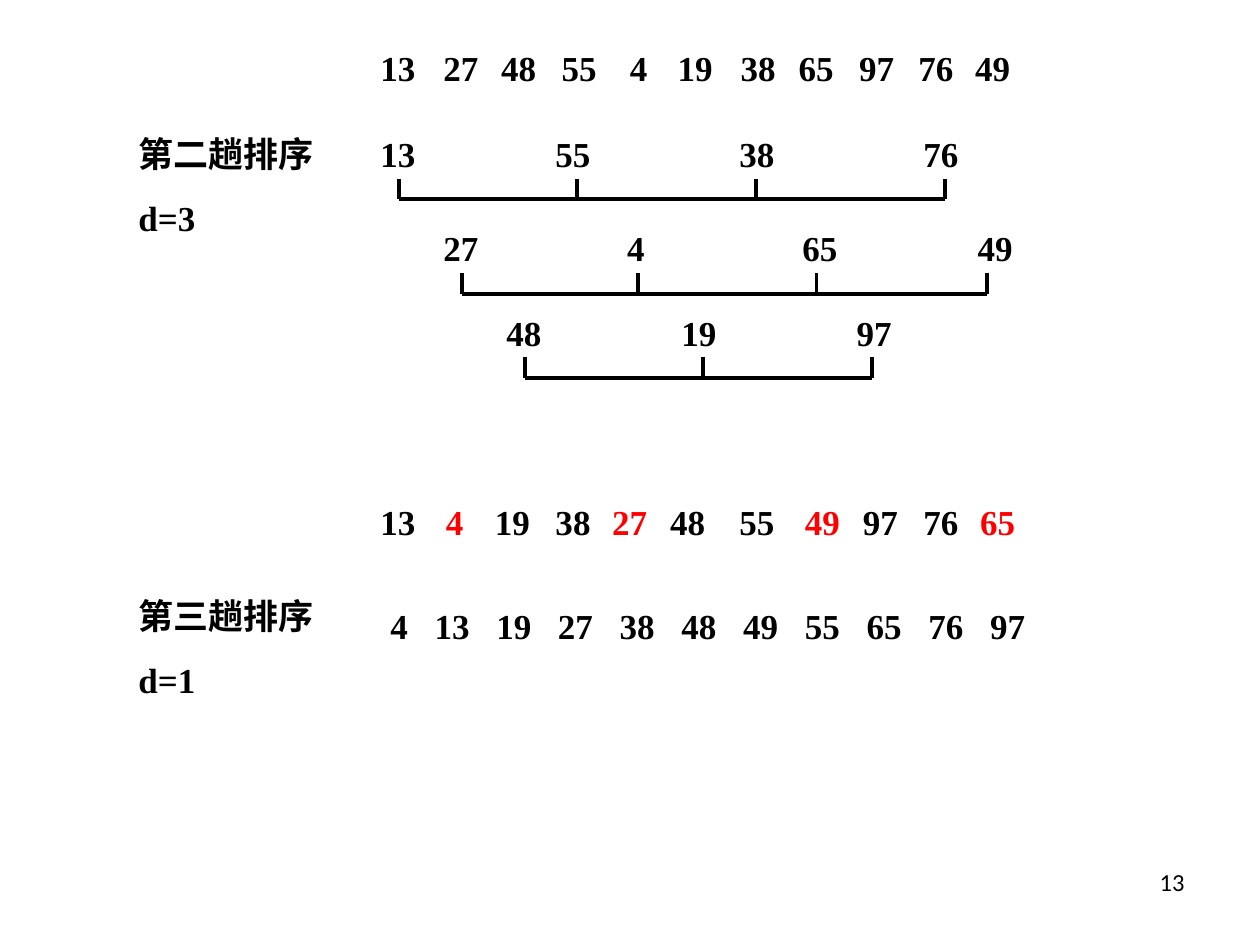
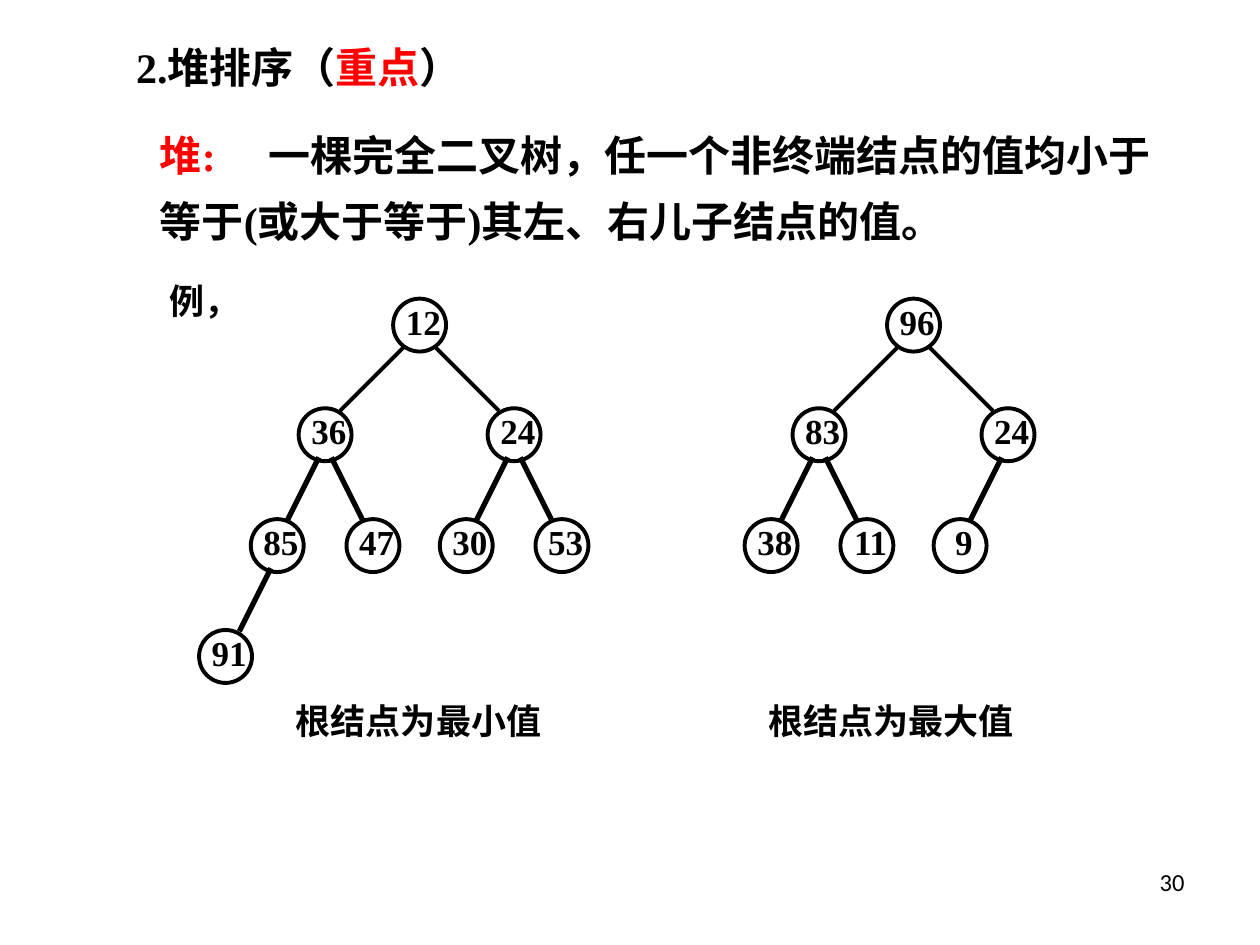
"""Build two lecture slides on Shell sort passes and heaps."""
from lxml import etree
from pptx import Presentation
from pptx.dml.color import RGBColor
from pptx.enum.shapes import MSO_CONNECTOR, MSO_SHAPE
from pptx.enum.text import MSO_ANCHOR, MSO_AUTO_SIZE, PP_ALIGN
from pptx.oxml.ns import qn
from pptx.util import Inches, Pt

STRAIGHT = MSO_CONNECTOR.STRAIGHT
ELLIPSE = MSO_SHAPE.OVAL
TOP, MIDDLE = MSO_ANCHOR.TOP, MSO_ANCHOR.MIDDLE
FIT_SHAPE, FIT_NONE = MSO_AUTO_SIZE.SHAPE_TO_FIT_TEXT, MSO_AUTO_SIZE.NONE
LEFT, CENTER, RIGHT = PP_ALIGN.LEFT, PP_ALIGN.CENTER, PP_ALIGN.RIGHT

BLACK, RED = "000000", "FF0000"
BODY_FONT, NUMBER_FONT = "Times New Roman", "Calibri"
TITLE_ONLY, BLANK = 5, 6
ROW_HEIGHT = 0.44

NODE_SIZE = 0.42
NODE_OFFSETS = (0, -0.75, 0.75, -1.13, -0.37, 0.37, 1.13, -1.54)
LEVEL_TOPS = (2.37, 3.24, 4.12, 5)


def rgb(color):
    return RGBColor.from_string(color)


class Deck:
    def __init__(self):
        self.presentation = Presentation()
        self.presentation.slide_width = Inches(10)
        self.presentation.slide_height = Inches(7.5)
        self.slide = None

    def new_slide(self, layout, number):
        layouts = self.presentation.slide_layouts
        self.slide = self.presentation.slides.add_slide(layouts[layout])
        self.text(7.17, 6.83, 2.33, 0.52, [number], size=14, bold=False,
                  font=NUMBER_FONT, align=RIGHT, before=0)

    def style(self, paragraph, size, color=BLACK, bold=True, font=BODY_FONT,
              align=LEFT, before=None, spacing=None, stops=()):
        paragraph.alignment = align
        paragraph.space_before = Pt(size * 0.625 if before is None else before)
        if spacing:
            paragraph.line_spacing = spacing
        if stops:
            properties = paragraph._p.get_or_add_pPr()
            tabs = etree.SubElement(properties, qn("a:tabLst"))
            for stop in stops:
                etree.SubElement(tabs, qn("a:tab"), pos=str(Inches(stop)), algn="l")
        paragraph.font.name = font
        paragraph.font.size = Pt(size)
        paragraph.font.bold = bold
        if color:
            paragraph.font.color.rgb = rgb(color)

    def fill_frame(self, frame, lines, size=20, **style):
        for index, line in enumerate(lines):
            paragraph = frame.add_paragraph() if index else frame.paragraphs[0]
            if isinstance(line, str):
                self.style(paragraph, size, **style)
                paragraph.add_run().text = line
                continue
            self.style(paragraph, size, color=None, **style)
            for words, color in line:
                run = paragraph.add_run()
                run.text = words
                run.font.color.rgb = rgb(color)

    def text(self, left, top, width, height, lines, **style):
        box = self.slide.shapes.add_textbox(
            Inches(left), Inches(top), Inches(width), Inches(height))
        box.text_frame.word_wrap = True
        box.text_frame.auto_size = FIT_SHAPE
        self.fill_frame(box.text_frame, lines, **style)

    def title(self, left, top, width, height, runs):
        title = self.slide.shapes.title
        title.left, title.top = Inches(left), Inches(top)
        title.width, title.height = Inches(width), Inches(height)
        title.text_frame.vertical_anchor = TOP
        title.text_frame.auto_size = FIT_NONE
        self.fill_frame(title.text_frame, [runs], size=24)

    def row(self, left, top, width, values, stops, color=BLACK):
        self.text(left, top, width, ROW_HEIGHT, ["\t".join(values.split())],
                  stops=stops, color=color)

    def line(self, x1, y1, x2, y2, weight=2.25):
        line = self.slide.shapes.add_connector(
            STRAIGHT, Inches(x1), Inches(y1), Inches(x2), Inches(y2))
        line.line.color.rgb = rgb(BLACK)
        line.line.width = Pt(weight)
        etree.SubElement(line._element.spPr, qn("a:effectLst"))

    def bracket(self, top, bottom, ticks):
        self.line(ticks[0], bottom, ticks[-1], bottom)
        for tick in ticks:
            self.line(tick, top, tick, bottom)

    def node(self, left, top, value):
        node = self.slide.shapes.add_shape(
            ELLIPSE, Inches(left), Inches(top), Inches(NODE_SIZE), Inches(NODE_SIZE))
        node.shadow.inherit = False
        node.fill.background()
        node.line.color.rgb = rgb(BLACK)
        node.line.width = Pt(2.25)
        frame = node.text_frame
        frame.word_wrap = False
        frame.vertical_anchor = MIDDLE
        frame.margin_left, frame.margin_bottom = Inches(0.06), Inches(0.06)
        frame.margin_right = frame.margin_top = 0
        self.fill_frame(frame, [value], align=CENTER, before=0)

    def heap(self, root_left, values):
        places = []
        for index, value in enumerate(values.split()):
            level = (index + 1).bit_length() - 1
            left, top = root_left + NODE_OFFSETS[index], LEVEL_TOPS[level]
            places.append((left, top))
            self.node(left, top, value)
            if index:
                parent_left, parent_top = places[(index - 1) // 2]
                side = -1 if index % 2 else 1
                start, reach, weight = (0.13, 0.5, 2.25) if level == 1 else (0.05, 0.25, 3)
                x = parent_left + NODE_SIZE / 2 + side * start
                y = parent_top + 0.39
                self.line(x, y, x + side * reach, y + 0.5, weight)


def build_shell_sort(deck):
    deck.new_slide(BLANK, "13")
    deck.text(1, 1, 2.17, 0.94, ["第二趟排序", "d=3"])
    for left, width, values, stops in (
            (2.92, 6.5, "13 19 49", (2.36, 4.72)),
            (3.42, 4.17, "27 38", (2.36,)),
            (3.88, 4, "48 65", (2.36,)),
            (4.36, 3.83, "55 97", (2.36,)),
            (4.9, 3.83, "4 76", (2.29,))):
        deck.row(left, 0.32, width, values, stops)

    for left, top, width, values, stops, bracket in (
            (2.92, 1, 6, "13 55 38 76", (1.39, 2.85, 4.31),
             (1.42, 1.58, (3.17, 4.58, 6, 7.5))),
            (3.42, 1.75, 5.17, "27 4 65 49", (1.46, 2.85, 4.24),
             (2.17, 2.33, (3.67, 5.06, 6.48, 7.83))),
            (3.92, 2.42, 3.83, "48 19 97", (1.39, 2.78),
             (2.83, 3, (4.17, 5.58, 6.92)))):
        deck.row(left, top, width, values, stops)
        deck.bracket(*bracket)

    deck.row(2.92, 3.92, 5.58, "13 38 55 76", (1.39, 2.85, 4.31))
    deck.row(3.44, 3.92, 5.42, "4 27 49 65", (1.32, 2.85, 4.24), RED)
    deck.row(3.83, 3.92, 4.42, "19 48 97", (1.39, 2.92))

    deck.text(1, 4.67, 3.33, 0.94, ["第三趟排序", "d=1"])
    deck.row(3, 4.75, 5.92, "4 13 19 27 38 48 49 55 65 76 97",
             [0.35 + 0.49 * step for step in range(10)])


def build_heaps(deck):
    deck.new_slide(TITLE_ONLY, "30")
    deck.title(0.98, 0.28, 3.5, 0.5,
               [("2.堆排序（", BLACK), ("重点", RED), ("）", BLACK)])
    definition = "一棵完全二叉树，任一个非终端结点的值均小于等于(或大于等于)其左、右儿子结点的值。"
    deck.text(1.17, 0.86, 8.33, 1.14, [[("堆:\t", RED), (definition, BLACK)]],
              size=24, spacing=1.3, stops=(0.86,))
    deck.text(1.25, 2.17, 2.17, ROW_HEIGHT, ["例，"])
    for root_left, values, caption_left, caption in (
            (3.12, "12 36 24 85 47 30 53 91", 2.25, "根结点为最小值"),
            (7.04, "96 83 24 38 11 9", 6, "根结点为最大值")):
        deck.heap(root_left, values)
        deck.text(caption_left, 5.5, 2.5, ROW_HEIGHT, [caption])


def main():
    deck = Deck()
    build_shell_sort(deck)
    build_heaps(deck)
    deck.presentation.save("out.pptx")


if __name__ == "__main__":
    main()
